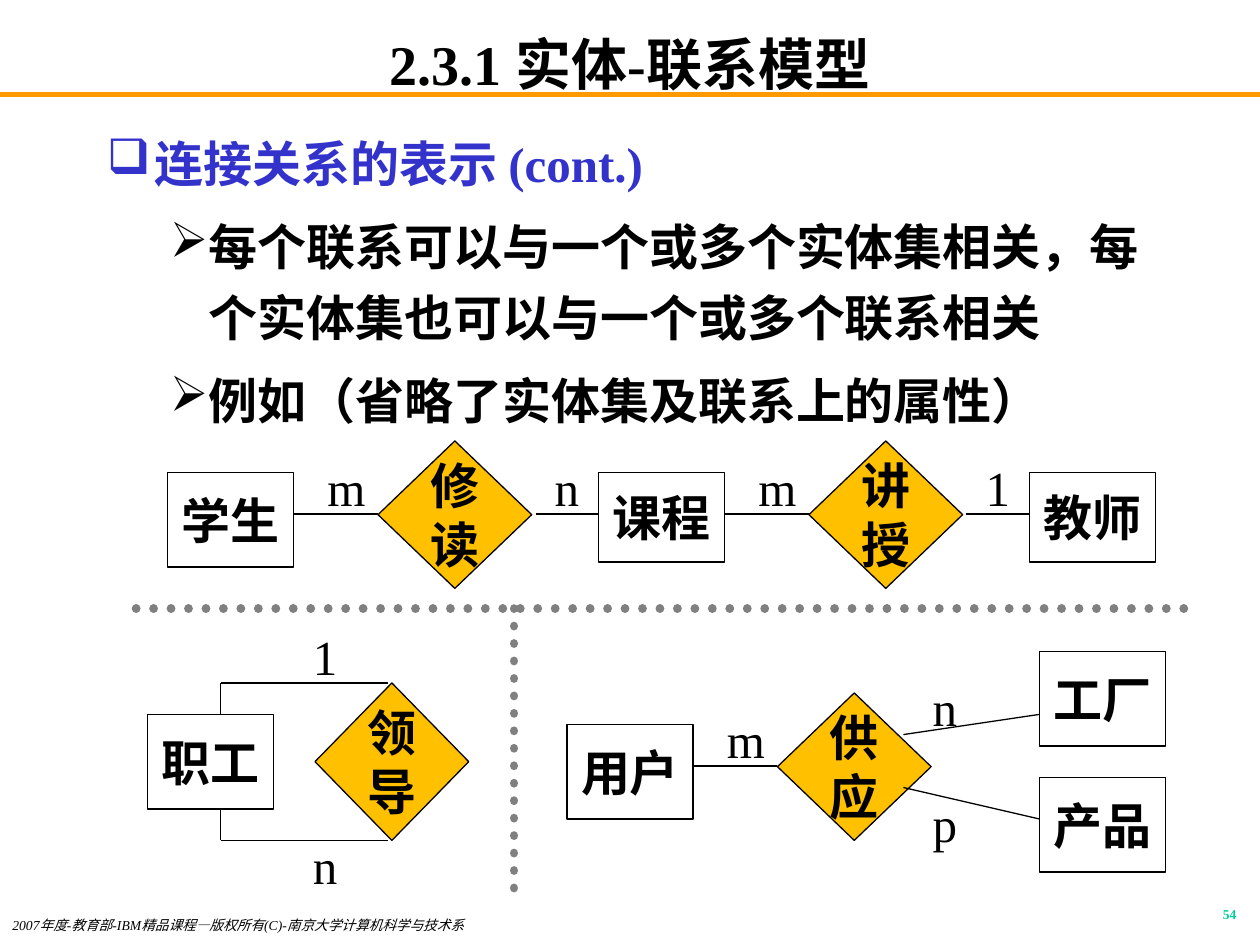
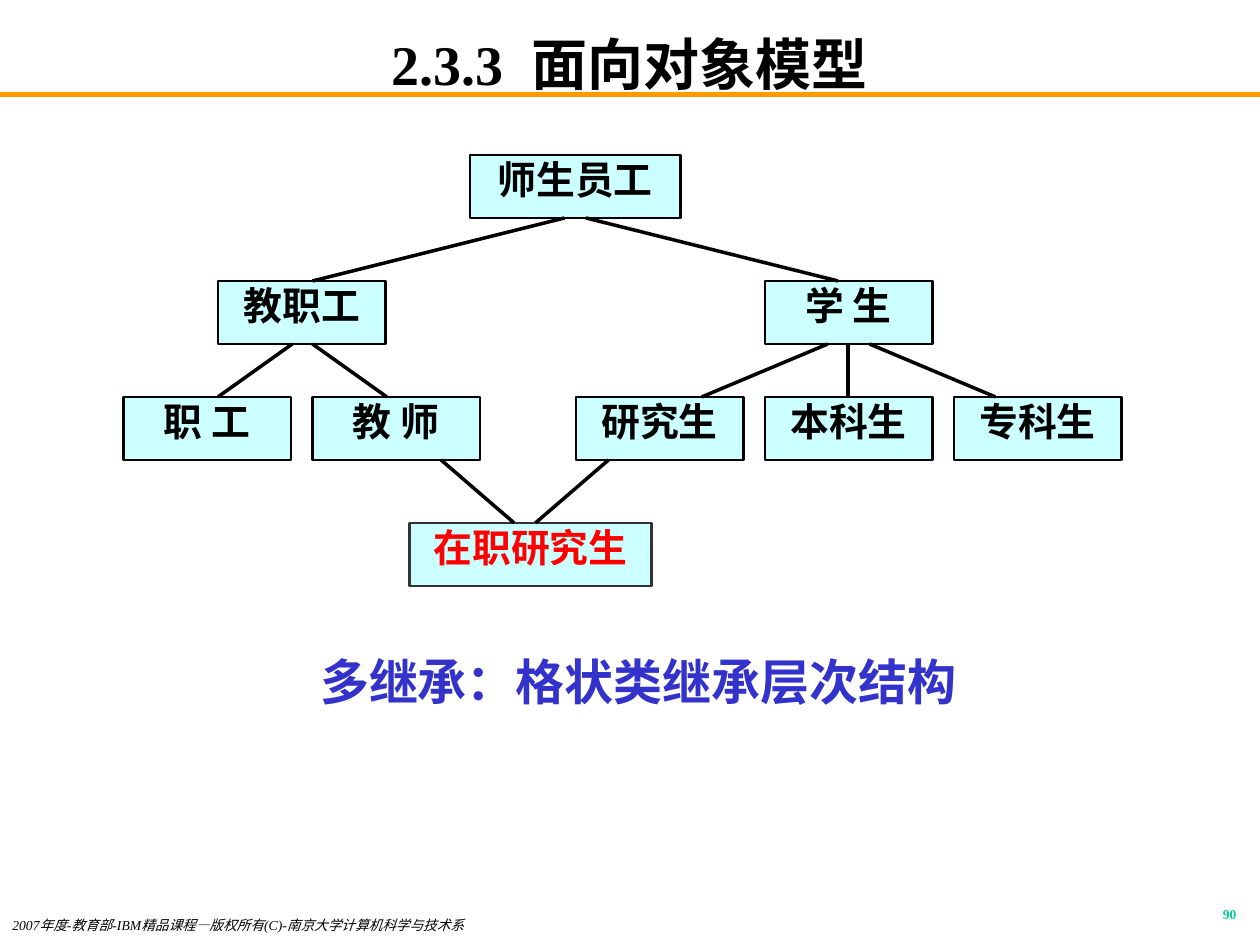
from lxml import etree
from pptx import Presentation
from pptx.dml.color import RGBColor
from pptx.enum.dml import MSO_LINE
from pptx.enum.shapes import MSO_CONNECTOR, MSO_SHAPE
from pptx.enum.text import MSO_ANCHOR, PP_ALIGN
from pptx.oxml.ns import qn
from pptx.util import Inches, Pt

RECT, DIAMOND = MSO_SHAPE.RECTANGLE, MSO_SHAPE.DIAMOND
LEFT, MID, RIGHT = PP_ALIGN.LEFT, PP_ALIGN.CENTER, PP_ALIGN.RIGHT
TOP, CENTER = MSO_ANCHOR.TOP, MSO_ANCHOR.MIDDLE
STRAIGHT, DOTS = MSO_CONNECTOR.STRAIGHT, MSO_LINE.ROUND_DOT
SERIF, SANS, HAN = "Times New Roman", "Arial", "Noto Sans CJK SC"
COLORS = {
    "black": "000000", "white": "FFFFFF", "orange": "FF9900", "blue": "3333CC",
    "green": "00CC99", "gold": "FFC000", "gray": "808080", "cyan": "CCFFFF",
    "dark": "333333", "red": "FF0000",
}
RGB = {name: RGBColor.from_string(code) for name, code in COLORS.items()}


def write(slide, place, words, size, font=SERIF, color="black", bold=False, italic=False,
          align=MID, anchor=TOP, inset=(0.1, 0.05), space=None,
          form=None, fill="white", edge="black", width=0.75):
    spot = [Inches(n) for n in place]
    if form is None:
        box = slide.shapes.add_textbox(*spot)
    else:
        box = slide.shapes.add_shape(form, *spot)
        box.shadow.inherit = False
        box.fill.solid()
        box.fill.fore_color.rgb = RGB[fill]
        box.line.color.rgb = RGB[edge]
        box.line.width = Pt(width)
    frame = box.text_frame
    frame.word_wrap = True
    frame.vertical_anchor = anchor
    frame.margin_left = frame.margin_right = Inches(inset[0])
    frame.margin_top = frame.margin_bottom = Inches(inset[1])
    frame.text = words
    for para in frame.paragraphs:
        para.alignment = align
        para.line_spacing = space
        for run in para.runs:
            run.font.name = font
            run.font.size = Pt(size)
            run.font.bold = bold
            run.font.italic = italic
            run.font.color.rgb = RGB[color]
    return frame


def link(slide, ends, color="black", width=0.75):
    line = slide.shapes.add_connector(STRAIGHT, *[Inches(n) for n in ends])
    line.line.color.rgb = RGB[color]
    line.line.width = Pt(width)
    etree.SubElement(line._element.spPr, qn("a:effectLst"))
    return line


deck = Presentation()
deck.slide_width, deck.slide_height = Inches(10), Inches(7.5)
pages = []
for title, number in [("2.3.1 实体-联系模型", "54"), ("2.3.3  面向对象模型", "90")]:
    page = deck.slides.add_slide(deck.slide_layouts[6])
    link(page, (0, 0.75, 10, 0.75), "orange", 3)
    write(page, (0.75, 0.25, 8.5, 0.5), title, 32, bold=True, anchor=CENTER, inset=(0.1, 0))
    write(page, (0, 7.25, 5.5, 0.25),
          "2007年度-教育部-IBM精品课程—版权所有(C)-南京大学计算机科学与技术系",
          7.8, italic=True, align=LEFT, space=0.8)
    write(page, (7.83, 7.17, 2.08, 0.25), number, 7.7, color="green", bold=True,
          align=RIGHT, space=0.8)
    pages.append(page)
model, tree = pages

points = [
    ("连接关系的表示 (cont.)", "❑", "blue", 0.38, 0.38),
    ("每个联系可以与一个或多个实体集相关，每个实体集也可以与一个或多个联系相关", "➢", "black", 0.81, 0.31),
    ("例如（省略了实体集及联系上的属性）", "➢", "black", 0.81, 0.31),
]
body = write(model, (0.75, 0.92, 8.5, 6.08), "\n".join(p[0] for p in points), 28,
             bold=True, align=LEFT, space=1.2)
for row, (para, (_, mark, color, left, hang)) in enumerate(zip(body.paragraphs, points)):
    props = para._p.get_or_add_pPr()
    props.set("marL", str(Inches(left)))
    props.set("indent", str(-Inches(hang)))
    tint = etree.SubElement(props, qn("a:buClr"))
    etree.SubElement(tint, qn("a:srgbClr"), val=COLORS[color])
    etree.SubElement(props, qn("a:buChar"), char=mark)
    para.runs[0].font.color.rgb = RGB[color]
    if row:
        para.space_before = Pt(7)

for words, x, y, high in [
    ("学生", 1.33, 3.75, 0.75), ("课程", 4.75, 3.75, 0.71), ("教师", 8.17, 3.75, 0.71),
    ("职工", 1.17, 5.67, 0.75), ("用户", 4.5, 5.75, 0.75),
    ("工厂", 8.25, 5.17, 0.75), ("产品", 8.25, 6.17, 0.75),
]:
    write(model, (x, y, 1, high), words, 28, SANS, bold=True, anchor=CENTER, form=RECT)
for words, x, y, high in [
    ("修读", 3, 3.5, 1.17), ("讲授", 6.42, 3.5, 1.17),
    ("领导", 2.5, 5.42, 1.25), ("供应", 6.17, 5.5, 1.17),
]:
    write(model, (x, y, 1.22, high), words, 28, SANS, bold=True, anchor=CENTER,
          form=DIAMOND, fill="gold")
for ends in [
    (2.33, 4.08, 3, 4.08), (4.25, 4.08, 4.75, 4.08),
    (5.75, 4.08, 6.42, 4.08), (7.67, 4.08, 8.17, 4.08),
    (1.75, 5.42, 3.08, 5.42), (1.75, 5.42, 1.75, 5.67),
    (1.75, 6.67, 3.08, 6.67), (1.75, 6.42, 1.75, 6.67),
    (5.5, 6.08, 6.17, 6.08), (7.17, 5.83, 8.25, 5.67), (7.17, 6.25, 8.25, 6.5),
]:
    link(model, ends)
for words, x, y in [
    ("m", 2.5, 3.58), ("n", 4.25, 3.58), ("m", 5.92, 3.58), ("1", 7.67, 3.58),
    ("1", 2.33, 4.92), ("n", 2.33, 6.58),
    ("m", 5.67, 5.58), ("n", 7.25, 5.33), ("p", 7.25, 6.25),
]:
    write(model, (x, y, 0.5, 0.57), words, 28)
for ends in [(1.08, 4.83, 9.5, 4.83), (4.08, 4.83, 4.08, 7.17)]:
    rule = link(model, ends, "gray", 5)
    rule.line.dash_style = DOTS
    rule.line._ln.set("cap", "rnd")

for words, x, y, wide, color, edge in [
    ("师生员工", 3.73, 1.23, 1.67, "black", "black"),
    ("教职工", 1.73, 2.23, 1.33, "black", "black"),
    ("学 生", 6.07, 2.23, 1.33, "black", "black"),
    ("职 工", 0.98, 3.15, 1.33, "black", "black"),
    ("教 师", 2.48, 3.15, 1.33, "black", "black"),
    ("研究生", 4.57, 3.15, 1.33, "black", "black"),
    ("本科生", 6.07, 3.15, 1.33, "black", "black"),
    ("专科生", 7.57, 3.15, 1.33, "black", "black"),
    ("在职研究生", 3.25, 4.15, 1.92, "red", "dark"),
]:
    write(tree, (x, y, wide, 0.5), words, 22.2, HAN, color, bold=True, space=0.9,
          form=RECT, fill="cyan", edge=edge, width=1.39)
for ends in [
    (4.48, 1.73, 2.48, 2.23), (4.65, 1.73, 6.65, 2.23),
    (2.32, 2.73, 1.73, 3.15), (2.48, 2.73, 3.07, 3.15),
    (6.57, 2.73, 5.57, 3.15), (6.73, 2.73, 6.73, 3.15), (6.9, 2.73, 7.9, 3.15),
    (3.5, 3.65, 4.08, 4.15), (4.83, 3.65, 4.25, 4.15),
]:
    link(tree, ends, width=2)
write(tree, (2.4, 5.17, 5.33, 0.47), "多继承：格状类继承层次结构", 28, HAN, "blue",
      bold=True, inset=(0, 0))

deck.save("out.pptx")
